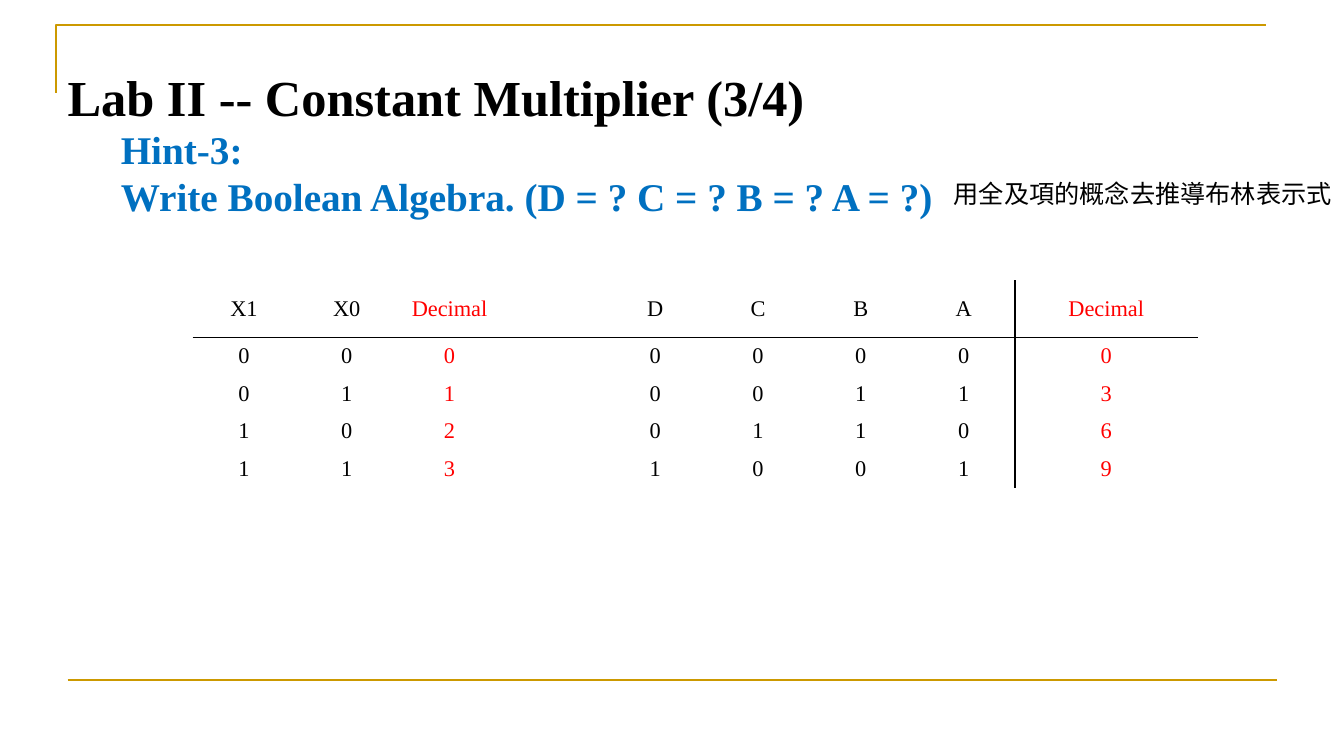
import dataclasses

import lxml.etree
import pptx
import pptx.dml.color
import pptx.enum.shapes
import pptx.enum.text
import pptx.oxml.ns
import pptx.util

Inches = pptx.util.Inches
Pt = pptx.util.Pt
Align = pptx.enum.text.PP_ALIGN
Anchor = pptx.enum.text.MSO_ANCHOR


@dataclasses.dataclass(frozen=True)
class Theme:
    black: str = "000000"
    white: str = "FFFFFF"
    gold: str = "CC9900"
    blue: str = "0070C0"
    red: str = "FF0000"
    latin: str = "Times New Roman"
    chinese: str = "Noto Sans CJK SC"
    title_size: int = 36
    hint_size: int = 28
    note_size: int = 18
    table_size: int = 16
    rule_width: float = 1.5
    border_width: float = 1


TRUTH_TABLE = [
    ["X1", "X0", "Decimal", "", "D", "C", "B", "A", "Decimal"],
    ["0", "0", "0", "", "0", "0", "0", "0", "0"],
    ["0", "1", "1", "", "0", "0", "1", "1", "3"],
    ["1", "0", "2", "", "0", "1", "1", "0", "6"],
    ["1", "1", "3", "", "1", "0", "0", "1", "9"],
]
DECIMAL_COLUMNS = (2, 8)
LAST_BIT_COLUMN = 7


def color(value):
    return pptx.dml.color.RGBColor.from_string(value)


def assign(target, values):
    for name, value in values.items():
        setattr(target, name, value)


def add_xml(parent, tag, **attributes):
    return lxml.etree.SubElement(parent, pptx.oxml.ns.qn(tag), **attributes)


class SlideBuilder:
    def __init__(self, page, theme):
        self.page = page
        self.theme = theme

    def add_span(self, para, text, size, ink, bold=False, font=None):
        span = para.add_run()
        span.text = text
        font = font or self.theme.latin
        assign(span.font, {"name": font, "size": Pt(size), "bold": bold})
        span.font.color.rgb = color(ink)
        add_xml(span.font._element, "a:ea", typeface=font)

    def style_rule(self, rule):
        rule.line.color.rgb = color(self.theme.gold)
        rule.line.width = Pt(self.theme.rule_width)

    def corner(self, points):
        """Draw an open, unfilled outline through the points."""
        start, *rest = [(Inches(x), Inches(y)) for x, y in points]
        builder = self.page.shapes.build_freeform(*start)
        builder.add_line_segments(rest, close=False)
        outline = builder.convert_to_shape()
        outline.shadow.inherit = False
        outline.fill.background()
        self.style_rule(outline)

    def rule(self, left, top, right):
        line = self.page.shapes.add_connector(
            pptx.enum.shapes.MSO_CONNECTOR.STRAIGHT,
            Inches(left), Inches(top), Inches(right), Inches(top))
        self.style_rule(line)
        add_xml(line._element.spPr, "a:effectLst")

    def title(self, text, left, top, width, height):
        box = self.page.shapes.title
        assign(box, {"left": Inches(left), "top": Inches(top),
                     "width": Inches(width), "height": Inches(height)})
        assign(box.text_frame, {
            "word_wrap": True, "vertical_anchor": Anchor.TOP,
            "auto_size": pptx.enum.text.MSO_AUTO_SIZE.NONE,
            "margin_top": Inches(0.1)})
        para = box.text_frame.paragraphs[0]
        assign(para, {"alignment": Align.LEFT, "line_spacing": 1.5})
        self.add_span(para, text, self.theme.title_size, self.theme.black, bold=True)

    def text(self, lines, left, top, width, height, **style):
        """Add a box with one paragraph for each (text, alignment) pair."""
        box = self.page.shapes.add_textbox(
            Inches(left), Inches(top), Inches(width), Inches(height))
        frame = box.text_frame
        frame.word_wrap = True
        for index, (line, alignment) in enumerate(lines):
            para = frame.add_paragraph() if index else frame.paragraphs[0]
            para.alignment = alignment
            self.add_span(para, line, **style)

    def border(self, cell, sides):
        """Draw the named sides of a cell and hide the others."""
        properties = cell._tc.get_or_add_tcPr()
        for side in "LRTB":
            line = add_xml(properties, f"a:ln{side}",
                           w=str(Pt(self.theme.border_width)))
            if side in sides:
                fill = add_xml(line, "a:solidFill")
                add_xml(fill, "a:srgbClr", val=self.theme.black)
            else:
                add_xml(line, "a:noFill")

    def fill_cell(self, cell, text, ink, sides):
        self.border(cell, sides)
        cell.fill.solid()
        cell.fill.fore_color.rgb = color(self.theme.white)
        assign(cell, {"vertical_anchor": Anchor.MIDDLE,
                      "margin_left": Inches(0.11), "margin_right": Inches(0.11),
                      "margin_top": Inches(0.05), "margin_bottom": Inches(0.05)})
        para = cell.text_frame.paragraphs[0]
        para.alignment = Align.CENTER
        if text:
            self.add_span(para, text, self.theme.table_size, ink)
        else:
            add_xml(para._p, "a:endParaRPr", sz=str(self.theme.table_size * 100))

    def truth_table(self, rows, left, top, widths, heights):
        grid = self.page.shapes.add_table(
            len(rows), len(widths), Inches(left), Inches(top),
            Inches(sum(widths)), Inches(sum(heights))).table
        assign(grid, {"first_row": False, "horz_banding": False})
        for column, width in zip(grid.columns, widths):
            column.width = Inches(width)
        for row, height in zip(grid.rows, heights):
            row.height = Inches(height)
        row_sides = {0: "B", 1: "T"}
        column_sides = {LAST_BIT_COLUMN: "R", LAST_BIT_COLUMN + 1: "L"}
        for r, row in enumerate(rows):
            for c, text in enumerate(row):
                ink = self.theme.red if c in DECIMAL_COLUMNS else self.theme.black
                sides = row_sides.get(r, "") + column_sides.get(c, "")
                self.fill_cell(grid.cell(r, c), text, ink, sides)


def main():
    deck = pptx.Presentation()
    assign(deck, {"slide_width": Inches(13.33), "slide_height": Inches(7.5)})
    theme = Theme()
    title_only = deck.slide_layouts[5]
    slide = SlideBuilder(deck.slides.add_slide(title_only), theme)

    slide.corner([(0.56, 0.92), (0.56, 0.25), (12.56, 0.25)])
    slide.rule(0.67, 6.75, 12.67)
    slide.title("Lab II -- Constant Multiplier (3/4)", 0.57, 0.26, 10.08, 1.32)
    slide.truth_table(TRUTH_TABLE, 1.91, 2.78,
                      widths=[1.02] * 8 + [1.81], heights=[0.57] + [0.35] * 4)
    slide.text([("Hint-3:", Align.JUSTIFY),
                ("Write Boolean Algebra. (D = ? C = ? B = ? A = ?)", Align.LEFT)],
               1.1, 1.19, 11.24, 1.04,
               size=theme.hint_size, ink=theme.blue, bold=True)
    slide.text([("用全及項的概念去推導布林表示式", Align.LEFT)],
               9.36, 1.72, 3.97, 0.4,
               size=theme.note_size, ink=theme.black, font=theme.chinese)
    deck.save("out.pptx")


if __name__ == "__main__":
    main()
